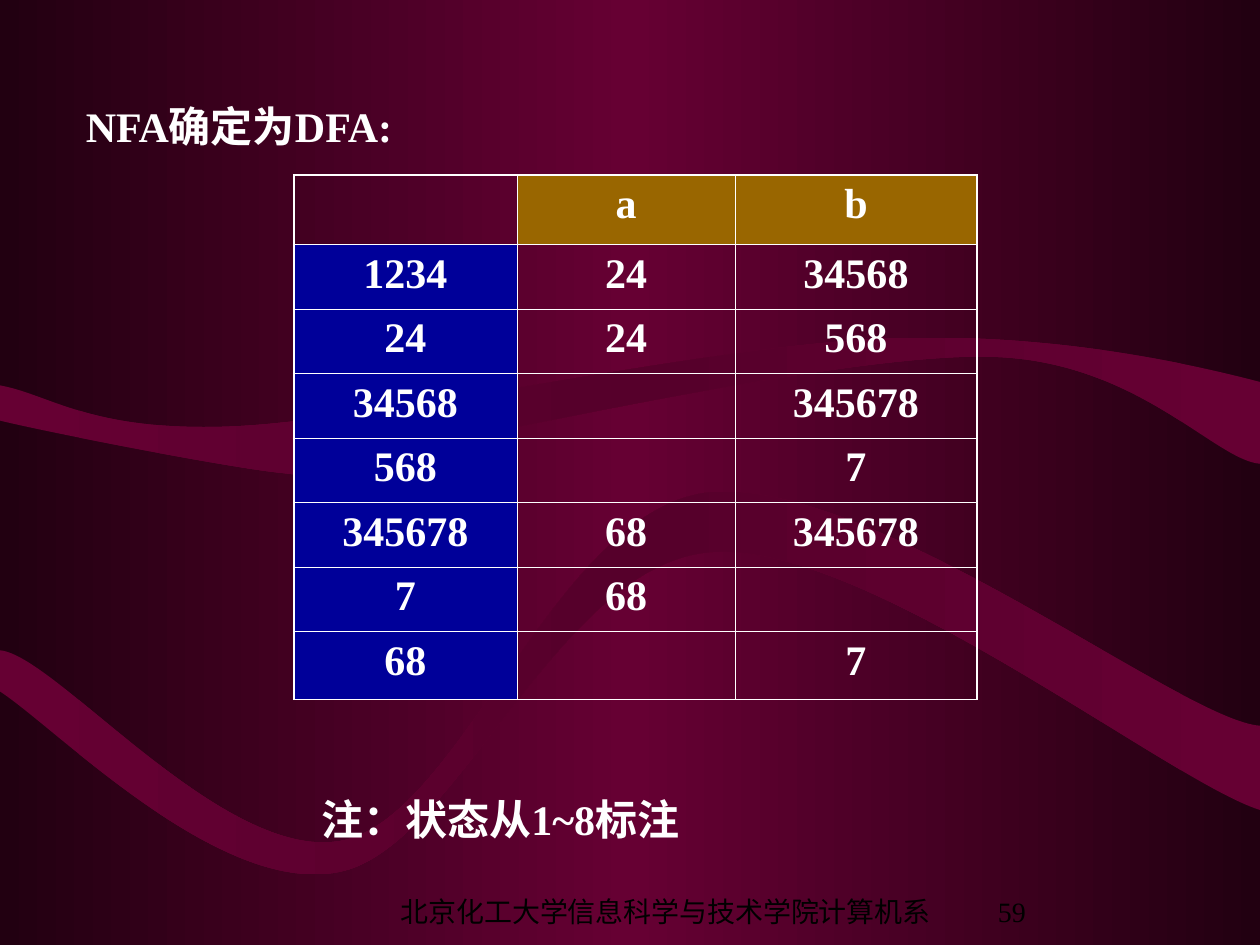
from copy import deepcopy

from lxml import etree
from pptx import Presentation
from pptx.dml.color import RGBColor
from pptx.enum.text import MSO_ANCHOR, PP_ALIGN
from pptx.oxml.ns import qn
from pptx.util import Cm, Pt

LEFT, CENTER = PP_ALIGN.LEFT, PP_ALIGN.CENTER
MIDDLE, BOTTOM = MSO_ANCHOR.MIDDLE, MSO_ANCHOR.BOTTOM

COLORS = {
    "edge": "220011",
    "wine": "660033",
    "wave_mid": "56002B",
    "white": "FFFFFF",
    "black": "000000",
    "symbol": "996600",
    "state": "000099",
}

# Each edge is a start point followed by three points per cubic curve, in cm.
WAVES = [
    (
        [(0, 8.48), (0.94, 8.71), (4.45, 9.4), (5.64, 9.53),
         (6.83, 9.65), (4.83, 9.63), (7.16, 9.25),
         (9.53, 8.84), (16.76, 7.16), (19.81, 7.19),
         (22.86, 7.19), (24.46, 9.27), (25.4, 9.35)],
        [(25.4, 7.7), (24.13, 7.37), (21.23, 6.68), (17.81, 6.83),
         (14.38, 6.96), (7.8, 8.43), (4.83, 8.59),
         (1.85, 8.74), (1.02, 7.95), (0, 7.77)],
    ),
    (
        [(0, 13.94), (1.14, 14.68), (4.42, 18.06), (6.83, 17.58),
         (9.22, 17.12), (11.25, 11.33), (14.35, 11.13),
         (17.45, 10.9), (23.55, 15.75), (25.4, 16.33)],
        [(25.4, 14.63), (23.83, 14.53), (17.55, 9.58), (14.27, 9.93),
         (11.2, 10.31), (9.32, 16.41), (6.93, 16.94),
         (4.55, 17.45), (1.14, 13.21), (0, 13.11)],
    ),
]

TRANSITIONS = [
    ["", "a", "b"],
    ["1234", "24", "34568"],
    ["24", "24", "568"],
    ["34568", "", "345678"],
    ["568", "", "7"],
    ["345678", "68", "345678"],
    ["7", "68", ""],
    ["68", "", "7"],
]
COL_WIDTHS = [4.5, 4.4, 4.87]
ROW_HEIGHTS = [1.4] + [1.3] * 6 + [1.37]


def rgb(name):
    return RGBColor.from_string(COLORS[name])


def bend(lines):
    """Turn each three line segments into one cubic curve."""
    for i in range(0, len(lines), 3):
        curve = etree.Element(qn("a:cubicBezTo"))
        lines[i].addprevious(curve)
        for line in lines[i:i + 3]:
            curve.append(line[0])
            line.getparent().remove(line)


class SlideWriter:
    font = "Times New Roman"
    thick, thin = Pt(1.08), Pt(0.45)

    def __init__(self, prs):
        self.s = prs.slides.add_slide(prs.slide_layouts[6])

    def gradient(self, fill, element, outer, middle):
        """Fill from outer to middle colour and back, left to right."""
        fill.gradient()
        fill.gradient_angle = 0
        stops = next(element.iter(qn("a:gsLst")))
        stops.append(deepcopy(stops[-1]))
        for stop, position, name in zip(fill.gradient_stops, (0, 0.5, 1),
                                        (outer, middle, outer)):
            stop.position = position
            stop.color.rgb = rgb(name)

    def background(self):
        self.gradient(self.s.background.fill, self.s.element, "edge", "wine")

    def wave(self, lower, upper):
        start, *rest = [(Cm(x), Cm(y)) for x, y in lower + upper]
        builder = self.s.shapes.build_freeform(*start)
        builder.add_line_segments(rest, close=True)
        shape = builder.convert_to_shape()
        lines = list(shape.element.iter(qn("a:lnTo")))
        bend(lines[:len(lower) - 1])
        bend(lines[len(lower):])
        shape.shadow.inherit = False
        shape.line.fill.background()
        self.gradient(shape.fill, shape.element, "wine", "wave_mid")

    def style(self, p, size, color, bold, align):
        p.alignment = align
        p.font.name = self.font
        p.font.size = Pt(size)
        p.font.bold = bold
        p.font.color.rgb = rgb(color)

    def text(self, text, x, y, w, h, size=24, color="white", bold=True,
             align=LEFT, anchor=MIDDLE, indent=0.0):
        tf = self.s.shapes.add_textbox(Cm(x), Cm(y), Cm(w), Cm(h)).text_frame
        tf.word_wrap = True
        tf.vertical_anchor = anchor
        tf.margin_left = Cm(0.25 + indent)
        p = tf.paragraphs[0]
        p.text = text
        self.style(p, size, color, bold, align)

    def borders(self, cell, outer_sides):
        tc_pr = cell._tc.get_or_add_tcPr()
        for i, side in enumerate("LRTB"):
            width = self.thick if side in outer_sides else self.thin
            ln = etree.Element(qn(f"a:ln{side}"), w=str(int(width)))
            fill = etree.SubElement(ln, qn("a:solidFill"))
            etree.SubElement(fill, qn("a:srgbClr"), val=COLORS["white"])
            tc_pr.insert(i, ln)

    def table(self, rows, x, y, widths, heights):
        frame = self.s.shapes.add_table(len(rows), len(widths), Cm(x), Cm(y),
                                        Cm(sum(widths)), Cm(sum(heights)))
        table = frame.table
        table.first_row = table.horz_banding = False
        for column, width in zip(table.columns, widths):
            column.width = Cm(width)
        last_row, last_col = len(rows) - 1, len(widths) - 1
        for r, (values, height) in enumerate(zip(rows, heights)):
            table.rows[r].height = Cm(height)
            for c, value in enumerate(values):
                cell = table.cell(r, c)
                if value and (r == 0 or c == 0):
                    cell.fill.solid()
                    cell.fill.fore_color.rgb = rgb("symbol" if r == 0 else "state")
                else:
                    cell.fill.background()
                outer = {"L": c == 0, "R": c == last_col, "T": r == 0, "B": r == last_row}
                self.borders(cell, [side for side in outer if outer[side]])
                p = cell.text_frame.paragraphs[0]
                p.text = value
                self.style(p, 24, "white", True, CENTER)


def main():
    prs = Presentation()
    prs.slide_width, prs.slide_height = Cm(25.4), Cm(19.05)
    slide = SlideWriter(prs)
    slide.background()
    for lower, upper in WAVES:
        slide.wave(lower, upper)
    slide.text("NFA确定为DFA:", 1.48, 1.69, 12.7, 1.69)
    slide.table(TRANSITIONS, 5.92, 3.53, COL_WIDTHS, ROW_HEIGHTS)
    slide.text("注：状态从1~8标注", 5.08, 15.66, 16.94, 1.69, indent=1.15)
    footer = {"size": 16, "color": "black", "bold": False, "align": CENTER,
              "anchor": BOTTOM}
    slide.text("北京化工大学信息科学与技术学院计算机系", 7.2, 17.98, 11.85, 0.85,
               indent=0.6, **footer)
    slide.text("59", 19.4, 17.98, 2, 0.85, **footer)
    prs.save("out.pptx")


if __name__ == "__main__":
    main()
